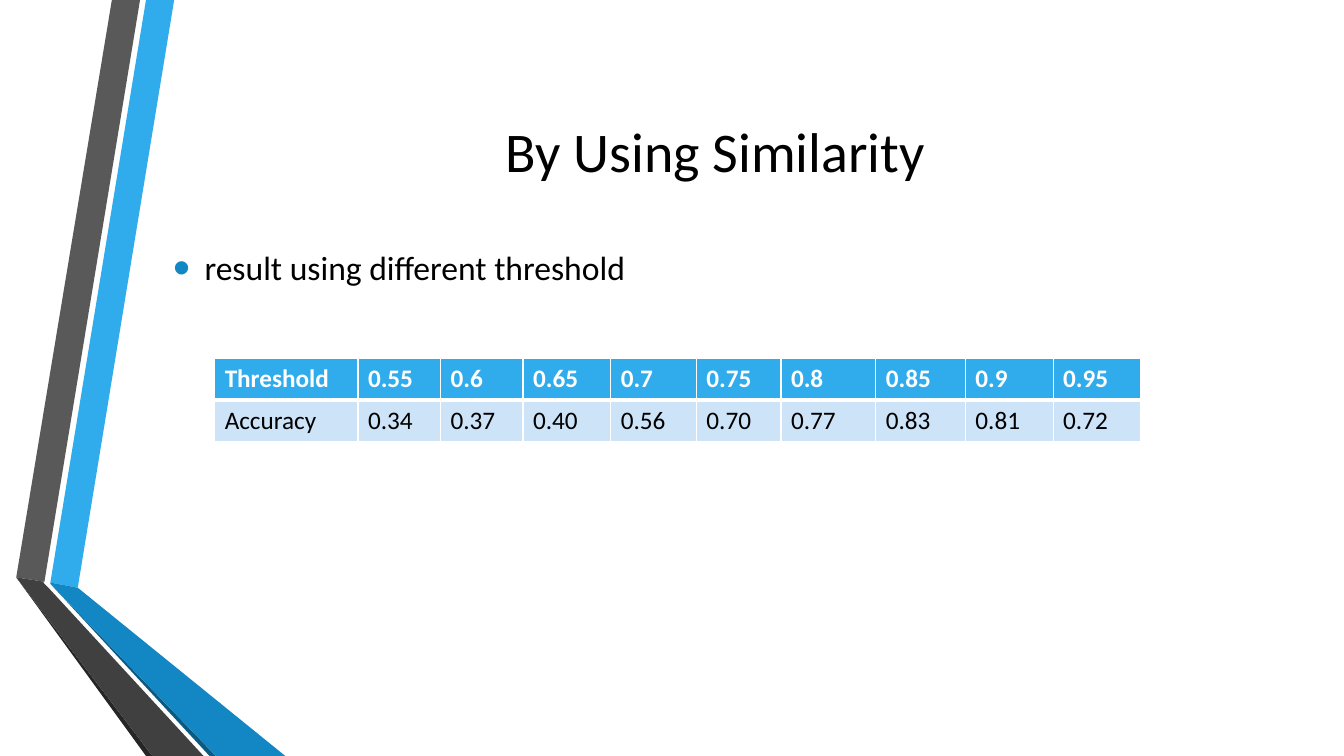
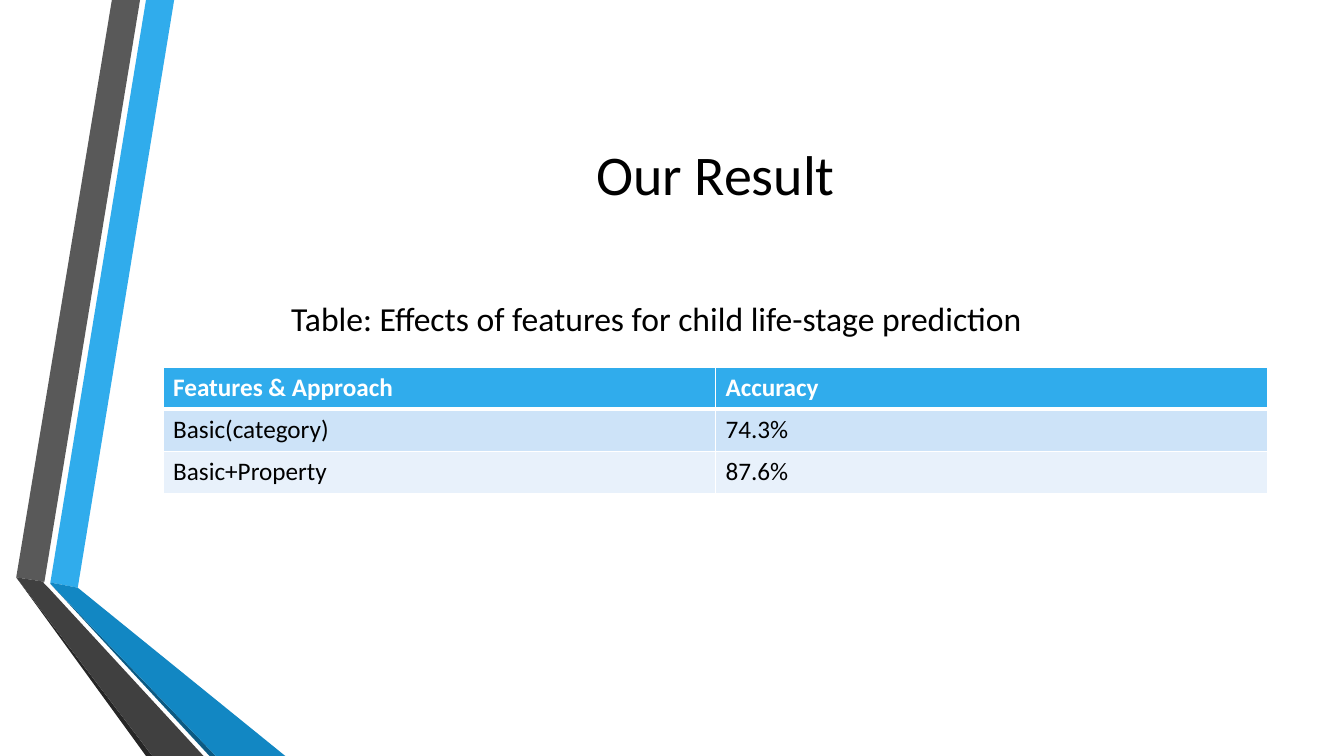
import dataclasses
import typing

import lxml.etree
import pptx
import pptx.dml.color
import pptx.enum.text
import pptx.oxml
import pptx.oxml.ns
import pptx.presentation
import pptx.shapes.base
import pptx.slide
import pptx.text.text
import pptx.util

Cm = pptx.util.Cm
Pt = pptx.util.Pt
Point = tuple[float, float]


# Theme: colours as RRGGBB, type sizes in points
@dataclasses.dataclass(frozen=True)
class Theme:
    font: str = "Calibri"
    ink: str = "000000"
    white: str = "FFFFFF"
    sky: str = "30ACEC"
    blue: str = "1287C3"
    navy: str = "0C5A82"
    grey: str = "595959"
    dark: str = "404040"
    black: str = "262626"
    tints: tuple[str, str] = ("CDE3F8", "E8F1FB")
    title: int = 40
    text: int = 24
    cell: int = 18
    thin: int = 1
    thick: int = 3


THEME = Theme()


class Box(typing.NamedTuple):
    """Left, top, width and height in centimetres."""
    left: float
    top: float
    width: float
    height: float


@dataclasses.dataclass(frozen=True)
class Band:
    fill: str
    points: tuple[Point, ...]


@dataclasses.dataclass(frozen=True)
class Grid:
    left: float
    top: float
    height: float  # of one row
    widths: tuple[float, ...]
    rows: tuple[tuple[str, ...], ...]


# Shared places
WIDE, HIGH = 33.87, 19.05
LEFT, SPAN = 4.11, 27.84

# Folded ribbons at the left edge
BANDS = (
    Band(THEME.sky, ((1.27, 14.68), (1.96, 14.81), (4.39, 0), (3.68, 0))),
    Band(THEME.grey, ((3.53, 0), (2.82, 0), (0.41, 14.55), (1.12, 14.66))),
    Band(THEME.black, ((0.41, 14.55), (3.68, HIGH), (3.84, HIGH))),
    Band(THEME.navy, ((1.27, 14.71), (5.28, HIGH), (5.44, HIGH))),
    Band(THEME.blue, ((1.27, 14.71), (5.44, HIGH), (7.19, HIGH),
                      (1.96, 14.81), (1.27, 14.68))),
    Band(THEME.dark, ((5.13, HIGH), (1.22, 14.81), (1.09, 14.68),
                      (1.12, 14.66), (0.41, 14.55), (3.84, HIGH))),
)

# Table data
SCORES = Grid(
    5.41, 9.04, 1.04,
    (3.61, 2.08, 2.08, 2.21, 2.16, 2.13, 2.39, 2.26, 2.21, 2.21),
    (("Threshold", "0.55", "0.6", "0.65", "0.7", "0.75", "0.8", "0.85",
      "0.9", "0.95"),
     ("Accuracy", "0.34", "0.37", "0.40", "0.56", "0.70", "0.77", "0.83",
      "0.81", "0.72")),
)
RESULT = Grid(
    LEFT, 9.25, 1.06, (SPAN / 2,) * 2,
    (("Features & Approach", "Accuracy"),
     ("Basic(category)", "74.3%"),
     ("Basic+Property", "87.6%")),
)


def tint(code: str) -> pptx.dml.color.RGBColor:
    return pptx.dml.color.RGBColor.from_string(code)


def write(frame: pptx.text.text.TextFrame, text: str, size: int,
          ink: str = THEME.ink, bold: bool = False) -> None:
    """Put one run of formatted text in a frame."""
    run = frame.paragraphs[0].add_run()
    run.text = text
    form = {"name": THEME.font, "size": Pt(size), "bold": bold}
    for key, value in form.items():
        setattr(run.font, key, value)
    run.font.color.rgb = tint(ink)


def place(shape: pptx.shapes.base.BaseShape, box: Box) -> None:
    for key, value in box._asdict().items():
        setattr(shape, key, Cm(value))


def set_frame(frame: pptx.text.text.TextFrame) -> None:
    form = {"word_wrap": True, "auto_size": pptx.enum.text.MSO_AUTO_SIZE.NONE}
    for key, value in form.items():
        setattr(frame, key, value)


def add_bands(deck: pptx.presentation.Presentation,
              slide: pptx.slide.Slide) -> None:
    """Draw the ribbons and move them to the master, behind all else."""
    tree = deck.slide_master.shapes.element
    for place_no, band in enumerate(BANDS):
        first, *rest = [(Cm(x), Cm(y)) for x, y in band.points]
        pen = slide.shapes.build_freeform(*first)
        pen.add_line_segments(rest, close=True)
        shape = pen.convert_to_shape()
        shape.shadow.inherit = False
        shape.fill.solid()
        shape.fill.fore_color.rgb = tint(band.fill)
        shape.line.fill.background()
        shape.element.xpath(".//p:cNvPr")[0].set("id", str(100 + place_no))
        tree.insert(2 + place_no, shape.element)


def add_title(slide: pptx.slide.Slide, text: str, top: float) -> None:
    title = slide.shapes.title
    place(title, Box(LEFT, top, SPAN, 4.88))
    frame = title.text_frame
    set_frame(frame)
    frame.vertical_anchor = pptx.enum.text.MSO_ANCHOR.MIDDLE
    write(frame, text, THEME.title)
    frame.paragraphs[0].alignment = pptx.enum.text.PP_ALIGN.CENTER


def add_list(slide: pptx.slide.Slide, text: str, box: Box) -> None:
    body = slide.placeholders[1]
    place(body, box)
    set_frame(body.text_frame)
    write(body.text_frame, text, THEME.text)
    para = body.text_frame.paragraphs[0]
    form = {"line_spacing": 0.9, "space_after": Pt(6)}
    for key, value in form.items():
        setattr(para, key, value)
    # Round coloured bullet with a hanging indent
    props = para._p.get_or_add_pPr()
    indent = Cm(0.79)
    props.set("marL", str(indent))
    props.set("indent", str(-indent))
    space = pptx.oxml.ns.nsdecls("a")
    for mark in (
        f'<a:buClr {space}><a:srgbClr val="{THEME.blue}"/></a:buClr>',
        f'<a:buSzPct {space} val="145000"/>',
        f'<a:buFont {space} typeface="Arial"/>',
        f'<a:buChar {space} char="•"/>',
    ):
        props.append(pptx.oxml.parse_xml(mark))


def add_edges(props: lxml.etree._Element, sides: dict[str, int]) -> None:
    """Add white cell borders, given their widths in points."""
    space = pptx.oxml.ns.nsdecls("a")
    for index, (side, width) in enumerate(sides.items()):
        props.insert(index, pptx.oxml.parse_xml(
            f'<a:ln{side} {space} w="{Pt(width)}"><a:solidFill>'
            f'<a:srgbClr val="{THEME.white}"/></a:solidFill></a:ln{side}>'))


def add_grid(slide: pptx.slide.Slide, grid: Grid) -> None:
    count = len(grid.rows)
    table = slide.shapes.add_table(
        count, len(grid.widths), Cm(grid.left), Cm(grid.top),
        Cm(sum(grid.widths)), Cm(grid.height * count)).table
    for column, width in zip(table.columns, grid.widths):
        column.width = Cm(width)
    for y, row in enumerate(grid.rows):
        table.rows[y].height = Cm(grid.height)
        head = y == 0
        fill = THEME.sky if head else THEME.tints[(y - 1) % 2]
        # The thick rule lies between the first two rows
        sides = {"L": THEME.thin, "R": THEME.thin,
                 "T": THEME.thick if y == 1 else THEME.thin,
                 "B": THEME.thick if head else THEME.thin}
        for x, text in enumerate(row):
            cell = table.cell(y, x)
            cell.fill.solid()
            cell.fill.fore_color.rgb = tint(fill)
            write(cell.text_frame, text, THEME.cell,
                  THEME.white if head else THEME.ink, head)
            add_edges(cell._tc.get_or_add_tcPr(), sides)


def add_note(slide: pptx.slide.Slide, text: str, box: Box) -> None:
    note = slide.shapes.add_textbox(*(Cm(value) for value in box))
    set_frame(note.text_frame)
    write(note.text_frame, text, THEME.text)


def main() -> None:
    deck = pptx.Presentation()
    deck.slide_width, deck.slide_height = Cm(WIDE), Cm(HIGH)

    # Slide 1: accuracy by threshold
    slide = deck.slides.add_slide(deck.slide_layouts[1])
    add_bands(deck, slide)
    add_title(slide, "By Using Similarity", 1.35)
    add_list(slide, "result using different threshold",
             Box(LEFT, 6.22, SPAN, 8.69))
    add_grid(slide, SCORES)

    # Slide 2: accuracy by features
    slide = deck.slides.add_slide(deck.slide_layouts[5])
    add_title(slide, "Our Result", 1.91)
    add_grid(slide, RESULT)
    add_note(slide, "Table: Effects of features for child life-stage prediction",
             Box(7.09, 7.37, 24.21, 1.27))

    deck.save("out.pptx")


if __name__ == "__main__":
    main()
